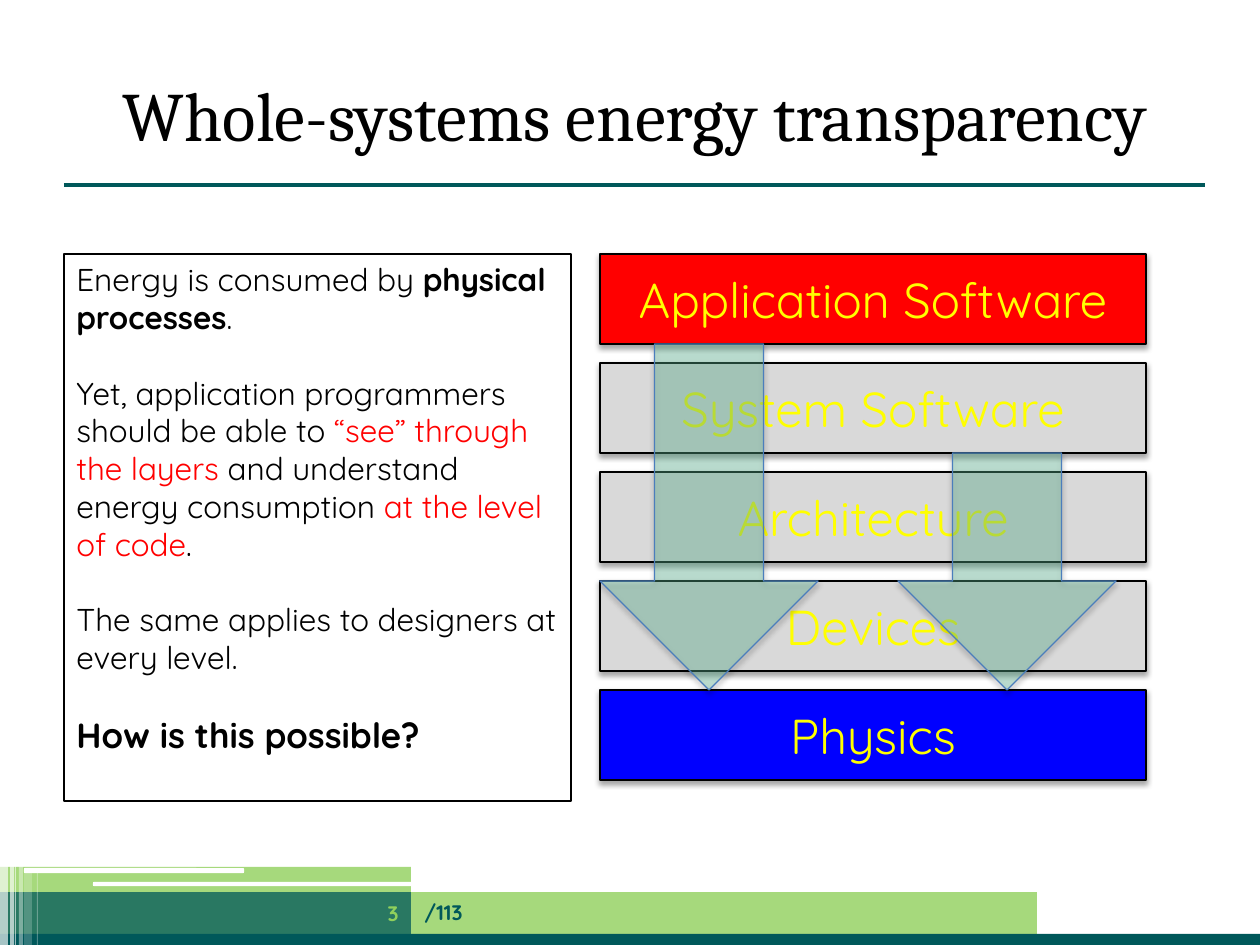
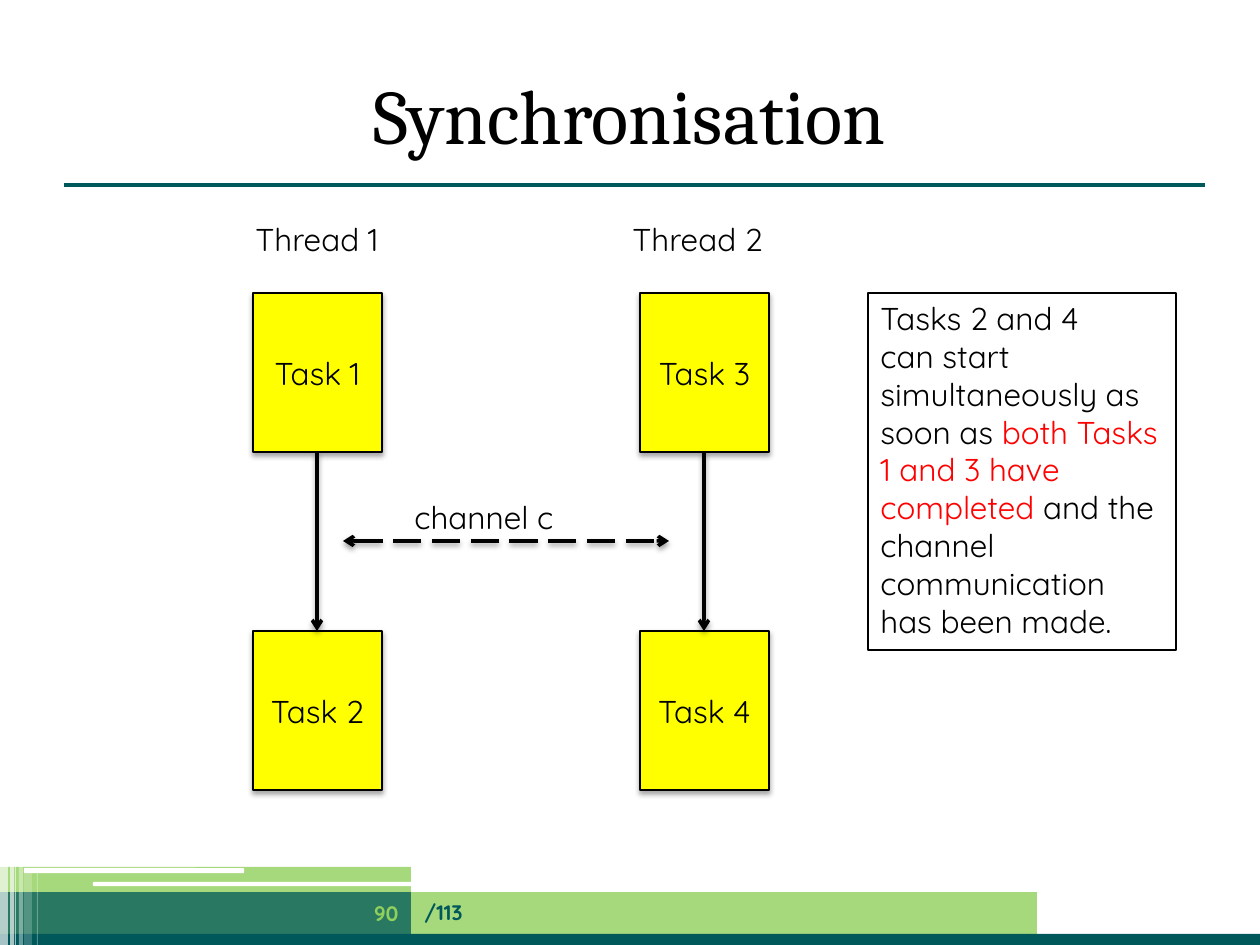
from collections import namedtuple

from lxml.etree import SubElement
from pptx import Presentation
from pptx.dml.color import RGBColor
from pptx.enum.dml import MSO_LINE
from pptx.enum.shapes import MSO_CONNECTOR, MSO_SHAPE
from pptx.enum.text import MSO_ANCHOR, MSO_AUTO_SIZE, PP_ALIGN
from pptx.oxml.ns import qn
from pptx.util import Pt

SCALE = 914400 / 126
WIDTH, HEIGHT = 1260, 945
TITLE_ONLY = 5

TEAL, GREEN, WHITE, BLACK = "00585A", "90D05C", "FFFFFF", "000000"
RED, BLUE, YELLOW, GREY = "FF0000", "0000FF", "FFFF00", "D9D9D9"
ARROW_FILL, ARROW_LINE = "65CAA3", "4B7EBC"

BODY = {"name": "Quicksand", "size": Pt(18), "bold": False}
FOOTER = {**BODY, "size": Pt(12), "bold": True}
LAYER = {**BODY, "size": Pt(28)}
HEADING = {"name": "Cambria", "bold": False}
MIDDLE = {"vertical_anchor": MSO_ANCHOR.MIDDLE}
CENTRED = {"alignment": PP_ALIGN.CENTER}
GAP = {"space_before": Pt(21.6)}

Box = namedtuple("Box", "left top width height")


def emu(pixels):
    """Turn a length in px into EMU."""
    return round(pixels * SCALE)


def place(box):
    """Return the four EMU lengths of a box."""
    return [emu(length) for length in box]


def colour(hex_string):
    """Return the colour for a hex string."""
    return RGBColor.from_string(hex_string)


def apply(target, values):
    """Set each format value on the target."""
    for name, value in values.items():
        setattr(target, name, value)


def add_span(para, text, font, ink=BLACK):
    """Add one formatted run to a paragraph."""
    span = para.add_run()
    span.text = text
    apply(span.font, font)
    span.font.color.rgb = colour(ink)


def write(shape, paragraphs, frame_format=None):
    """Fill a shape with (paragraph format, spans) pairs."""
    frame = shape.text_frame
    apply(frame, {"word_wrap": True, "auto_size": MSO_AUTO_SIZE.NONE,
                  "vertical_anchor": MSO_ANCHOR.TOP, **(frame_format or {})})
    for index, (para_format, spans) in enumerate(paragraphs):
        para = frame.add_paragraph() if index else frame.paragraphs[0]
        apply(para, {"alignment": PP_ALIGN.LEFT, **para_format})
        for span in spans:
            add_span(para, *span)


def add_label(page, box, text, font=BODY, ink=BLACK, para_format=None, frame_format=None):
    """Add a text box holding one line."""
    label = page.shapes.add_textbox(*place(box))
    write(label, [(para_format or {}, [(text, font, ink)])], frame_format)


def cast_shadow(effects, opacity, distance):
    """Put a soft downward shadow into an effect list."""
    shadow = SubElement(effects, qn("a:outerShdw"), blurRad="40000", dist=str(distance),
                        dir="5400000", rotWithShape="0")
    ink = SubElement(shadow, qn("a:srgbClr"), val=BLACK)
    SubElement(ink, qn("a:alpha"), val=str(opacity * 1000))


def add_block(page, box, fill=None, line=None, opacity=100, kind=MSO_SHAPE.RECTANGLE,
              shadow=False):
    """Add a preset shape with its fill, outline and shadow."""
    block = page.shapes.add_shape(kind, *place(box))
    if fill:
        block.fill.solid()
        block.fill.fore_color.rgb = colour(fill)
    else:
        block.fill.background()
    if line:
        block.line.color.rgb = colour(line)
        block.line.width = Pt(0.75)
    else:
        block.line.fill.background()
    block.shadow.inherit = False
    properties = block.element.spPr
    if opacity < 100:
        ink = properties.find(qn("a:solidFill"))[0]
        SubElement(ink, qn("a:alpha"), val=str(opacity * 1000))
    if shadow:
        cast_shadow(properties.find(qn("a:effectLst")), 35, 23000)
    return block


def add_line(page, start, end, ink=BLACK, width=2.0, arrows=(), dash=None, shadow=False):
    """Add a straight connector with arrowheads at the named ends."""
    connector = page.shapes.add_connector(MSO_CONNECTOR.STRAIGHT, *place(start + end))
    connector.line.color.rgb = colour(ink)
    connector.line.width = Pt(width)
    if dash:
        connector.line.dash_style = dash
    properties = connector.element.spPr
    for arrow in arrows:
        SubElement(properties.find(qn("a:ln")), qn(arrow), type="arrow")
    effects = SubElement(properties, qn("a:effectLst"))
    if shadow:
        cast_shadow(effects, 38, 20000)


def add_footer(page, box, number):
    """Draw the footer bands, light stripes and page number."""
    left, top, width, height = box
    tab, band_top, band_height = 411, top + 28, 42
    for band, fill, opacity in (
        (Box(left, band_top, 1037, band_height), GREEN, 80),
        (Box(left, band_top + band_height, width, 11), TEAL, 100),
        (Box(left, band_top, tab, band_height), TEAL, 75),
        (Box(left, top + 3, tab, 25), GREEN, 80),
    ):
        add_block(page, band, fill, opacity=opacity)
    for bar in (Box(left + 93, top + 18, 422, 4), Box(left + 24, top + 4, 220, 5)):
        add_block(page, bar, WHITE, kind=MSO_SHAPE.ROUNDED_RECTANGLE)
    for offset, drop, stripe, opacity in ((0, 0, 8, 65), (10, 0, 4, 65), (15, 0, 1, 60),
                                          (19, 0, 4, 40), (24, 5, 8, 20), (37, 5, 1, 30)):
        add_block(page, Box(left + offset, top + drop, stripe, height - drop), WHITE,
                  opacity=opacity)
    add_label(page, Box(left + tab + 1, top + 23, 625, 50), "/113", FOOTER, TEAL,
              frame_format=MIDDLE)
    add_label(page, Box(left + tab - 88, top + 24, 88, 50), number, FOOTER, GREEN,
              {"alignment": PP_ALIGN.RIGHT}, MIDDLE)


def add_page(deck, title, title_box, size, number):
    """Add a slide with the shared title, rule and footer."""
    page = deck.slides.add_slide(deck.slide_layouts[TITLE_ONLY])
    heading = page.shapes.title
    sides = ("left", "top", "width", "height")
    apply(heading, dict(zip(sides, place(title_box))))
    write(heading, [(CENTRED, [(title, {**HEADING, "size": Pt(size)})])], MIDDLE)
    add_footer(page, Box(0, 864, WIDTH, 81), number)
    add_line(page, (64, 185), (1205, 185), TEAL, 2.25)
    return page


def add_note(page, box, paragraphs):
    """Add an outlined box of running text."""
    write(add_block(page, box, line=BLACK), paragraphs)


def add_layers(page, box):
    """Stack the system layers and lay the see-through arrows on them."""
    layers = (("Application Software", RED), ("System Software", GREY),
              ("Architecture", GREY), ("Devices", GREY), ("Physics", BLUE))
    layer_height = 90
    step = (box.height - layer_height) // (len(layers) - 1)
    for index, (name, fill) in enumerate(layers):
        layer_box = Box(box.left, box.top + index * step, box.width, layer_height)
        layer = add_block(page, layer_box, fill, BLACK, shadow=True)
        write(layer, [(CENTRED, [(name, LAYER, YELLOW)])], MIDDLE)
    physics_top = box.top + box.height - layer_height
    for index, offset in enumerate((0, 298)):
        start = box.top + index * step + layer_height
        add_block(page, Box(box.left + offset, start, 2 * step, physics_top - start),
                  ARROW_FILL, ARROW_LINE, 33, MSO_SHAPE.DOWN_ARROW, True)


def add_threads(page, box):
    """Draw both threads of tasks and the channel between them."""
    task_width, task_height = 129, 159
    first_top, second_top = box.top + 79, box.top + box.height - task_height
    threads = (("Thread 1", 0, 10, ("Task 1", "Task 2")),
               ("Thread 2", 377, 397, ("Task 3", "Task 4")))
    for thread, label_offset, task_offset, tasks in threads:
        add_label(page, Box(box.left + label_offset, box.top, 159, 50), thread)
        left = box.left + task_offset
        for name, top in zip(tasks, (first_top, second_top)):
            task = add_block(page, Box(left, top, task_width, task_height), YELLOW, BLACK,
                             shadow=True)
            write(task, [(CENTRED, [(name, BODY)])], MIDDLE)
        centre = left + task_width // 2
        add_line(page, (centre, first_top + task_height), (centre, second_top),
                 arrows=("a:tailEnd",), shadow=True)
    channel_top = (first_top + task_height + second_top) // 2
    add_line(page, (box.left + 100, channel_top), (box.left + 426, channel_top),
             arrows=("a:headEnd", "a:tailEnd"), dash=MSO_LINE.LONG_DASH, shadow=True)
    add_label(page, Box(box.left + 159, channel_top - 49, 183, 50), "channel c")


def build_transparency(deck):
    """Build the slide on energy transparency."""
    page = add_page(deck, "Whole-systems energy transparency", Box(44, 55, 1182, 118),
                    39.6, "3")
    strong = {**BODY, "bold": True}
    add_layers(page, Box(600, 254, 546, 526))
    add_note(page, Box(64, 254, 507, 547), [
        ({}, [("Energy is consumed by ", BODY), ("physical processes", strong),
              (".", BODY)]),
        (GAP, [("Yet, application programmers should be able to ", BODY),
               ("“see” through the layers ", BODY, RED),
               ("and understand energy consumption ", BODY),
               ("at the level of code", BODY, RED), (".", BODY)]),
        (GAP, [("The same applies to designers at every level.", BODY)]),
        (GAP, [("How is this possible?", {**strong, "size": Pt(20)})]),
    ])


def build_synchronisation(deck):
    """Build the slide on synchronising two threads."""
    page = add_page(deck, "Synchronisation", Box(63, 55, 1134, 118), 44, "90")
    add_threads(page, Box(243, 214, 533, 576))
    add_note(page, Box(868, 293, 308, 357), [
        ({}, [("Tasks 2 and 4", BODY)]),
        ({}, [("can start simultaneously as soon as ", BODY),
              ("both Tasks 1 and 3 have completed ", BODY, RED),
              ("and the channel communication has been made.", BODY)]),
    ])


def main():
    """Build and save the deck."""
    deck = Presentation()
    apply(deck, {"slide_width": emu(WIDTH), "slide_height": emu(HEIGHT)})
    build_transparency(deck)
    build_synchronisation(deck)
    deck.save("out.pptx")


if __name__ == "__main__":
    main()
